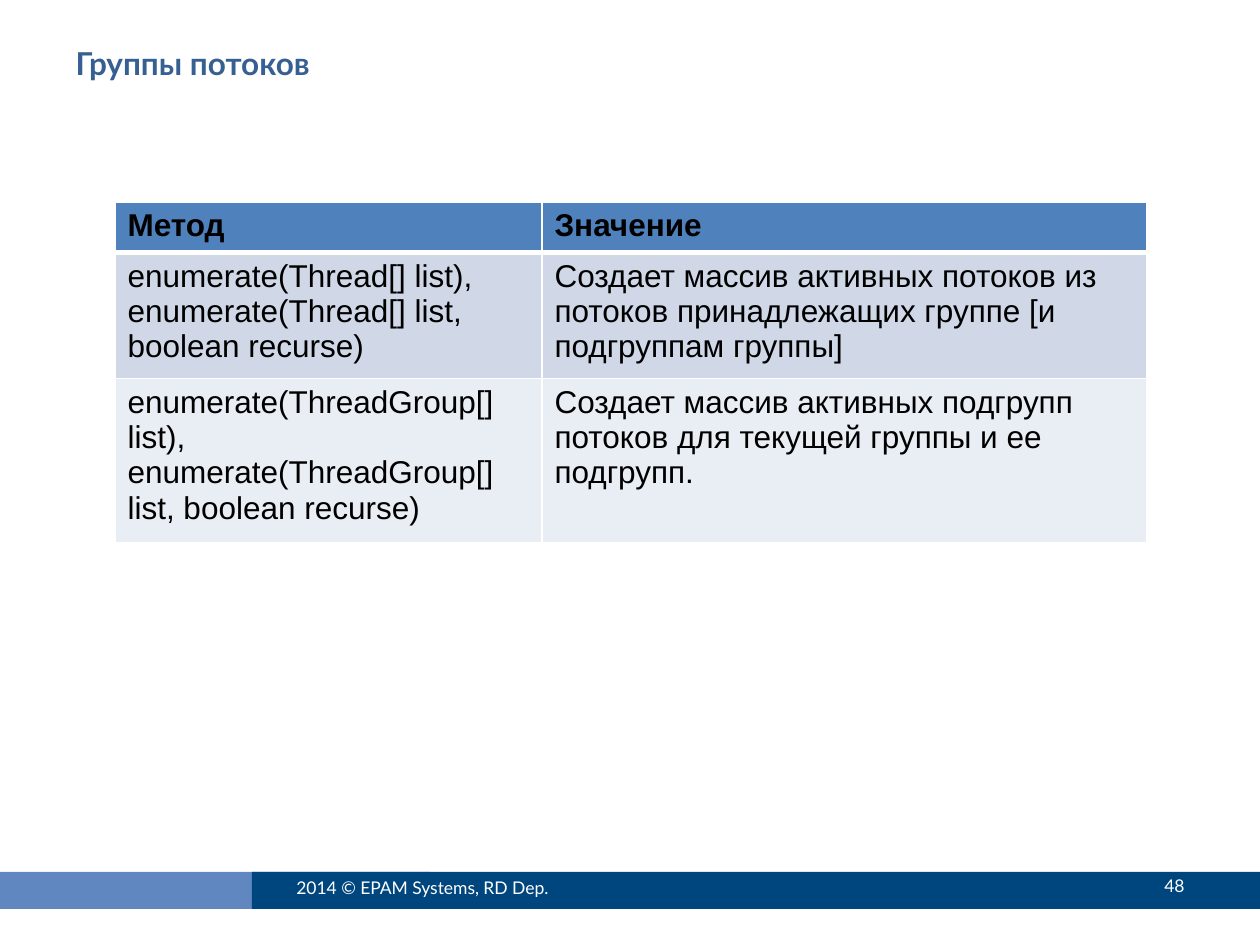
from lxml import etree
from pptx import Presentation
from pptx import util as u
from pptx.dml.color import RGBColor
from pptx.enum import shapes, text
from pptx.oxml.ns import qn

PX = 914400 // 126
WHITE = "FFFFFF"

TITLE = "Группы потоков"
# (text, box, alignment)
FOOTER = [
    ("2014 © EPAM Systems, RD Dep.", (284, 863, 336, 50), text.PP_ALIGN.LEFT),
    ("48", (1061, 861, 136, 50), text.PP_ALIGN.RIGHT),
]
# (colour, box)
BARS = [
    ("6087BF", (-2, 872, 432, 37)),
    ("00467E", (252, 872, 1008, 37)),
]
METHODS = [
    ("Метод", "Значение"),
    ("enumerate(Thread[] list), enumerate(Thread[] list, boolean recurse)",
     "Создает массив активных потоков из потоков принадлежащих группе [и подгруппам группы]"),
    ("enumerate(ThreadGroup[] list), enumerate(ThreadGroup[] list, boolean recurse)",
     "Создает массив активных подгрупп потоков для текущей группы и ее подгрупп."),
]
ROW_FILLS = ["4F81BD", "D0D8E8", "E9EDF4"]
ROW_HEIGHTS = [49, 119, 154]
COLUMN_WIDTHS = [427, 605]
TABLE_LEFT, TABLE_TOP = 115, 202


def px(*lengths):
    return [u.Emu(length * PX) for length in lengths]


def rgb(hex_colour):
    return RGBColor.from_string(hex_colour)


def write(frame, words, font, size, colour, bold=False, align=text.PP_ALIGN.LEFT):
    frame.text = words
    frame.word_wrap = True
    paragraph = frame.paragraphs[0]
    paragraph.alignment = align
    run_font = paragraph.runs[0].font
    run_font.name, run_font.size, run_font.bold = font, u.Pt(size), bold
    run_font.color.rgb = rgb(colour)


def set_borders(cell, colour, bottom_width):
    properties = cell._tc.get_or_add_tcPr()
    widths = {"lnL": 1, "lnR": 1, "lnT": 1, "lnB": bottom_width}
    for position, (side, width) in enumerate(widths.items()):
        line = etree.Element(qn(f"a:{side}"), w=str(u.Pt(width)))
        fill = etree.SubElement(line, qn("a:solidFill"))
        etree.SubElement(fill, qn("a:srgbClr"), val=colour)
        properties.insert(position, line)


prs = Presentation()
prs.slide_width, prs.slide_height = u.Inches(10), u.Inches(7.5)
slide = prs.slides.add_slide(prs.slide_layouts[5])

# Footer bars
for colour, box in BARS:
    bar = slide.shapes.add_shape(shapes.MSO_SHAPE.RECTANGLE, *px(*box))
    bar.shadow.inherit = False
    bar.fill.solid()
    bar.fill.fore_color.rgb = rgb(colour)
    bar.line.fill.background()

# Title
title = slide.shapes.title
title.left, title.top, title.width, title.height = px(63, 38, 1134, 98)
write(title.text_frame, TITLE, "Lato", 18, "376092", bold=True)
title.text_frame.vertical_anchor = text.MSO_ANCHOR.TOP

# Copyright line and page number
for words, box, align in FOOTER:
    frame = slide.shapes.add_textbox(*px(*box)).text_frame
    write(frame, words, "Lato", 10, WHITE, align=align)
    frame.vertical_anchor = text.MSO_ANCHOR.MIDDLE

# Table of methods
methods = slide.shapes.add_table(
    len(METHODS), len(COLUMN_WIDTHS),
    *px(TABLE_LEFT, TABLE_TOP, sum(COLUMN_WIDTHS), sum(ROW_HEIGHTS))).table
for column, width in zip(methods.columns, px(*COLUMN_WIDTHS)):
    column.width = width
for r, (entries, fill, height) in enumerate(zip(METHODS, ROW_FILLS, px(*ROW_HEIGHTS))):
    methods.rows[r].height = height
    for c, words in enumerate(entries):
        cell = methods.cell(r, c)
        write(cell.text_frame, words, "Arial", 18, "000000", bold=r == 0)
        cell.fill.solid()
        cell.fill.fore_color.rgb = rgb(fill)
        set_borders(cell, WHITE, 3 if r == 0 else 1)

prs.save("out.pptx")
